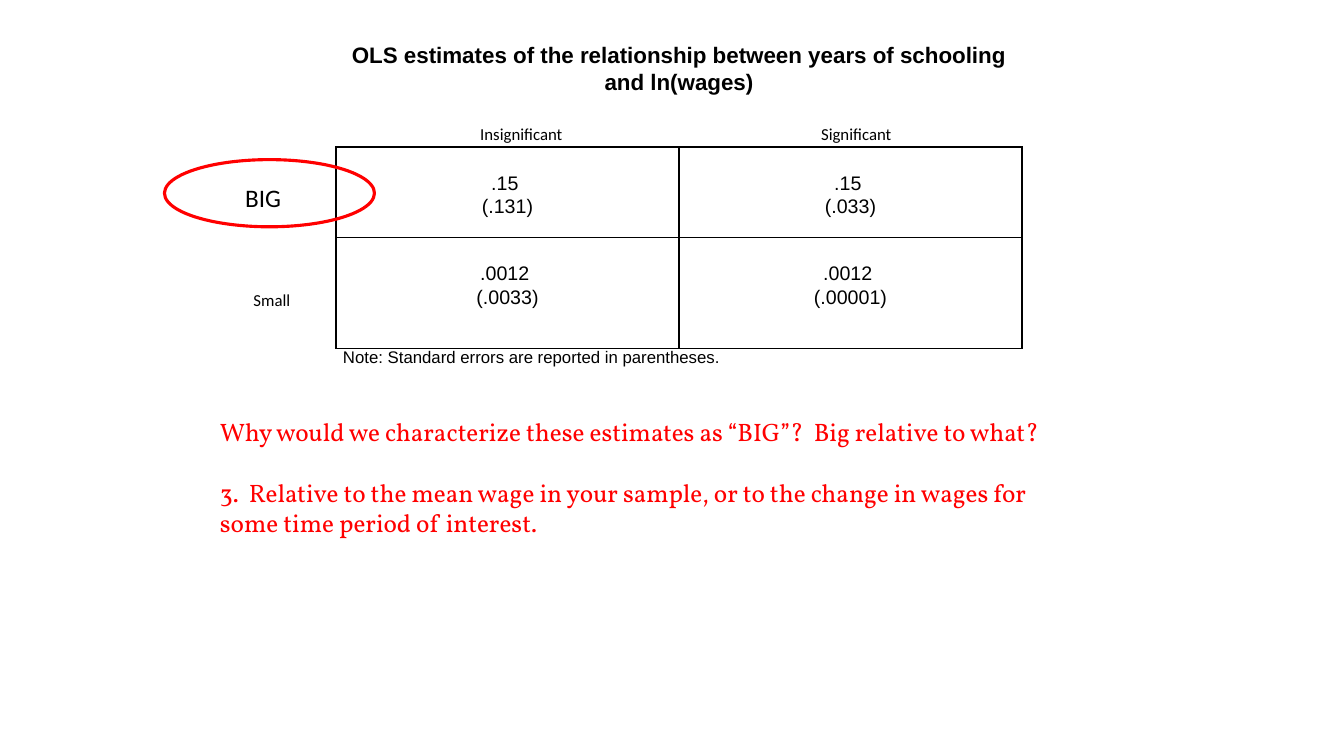
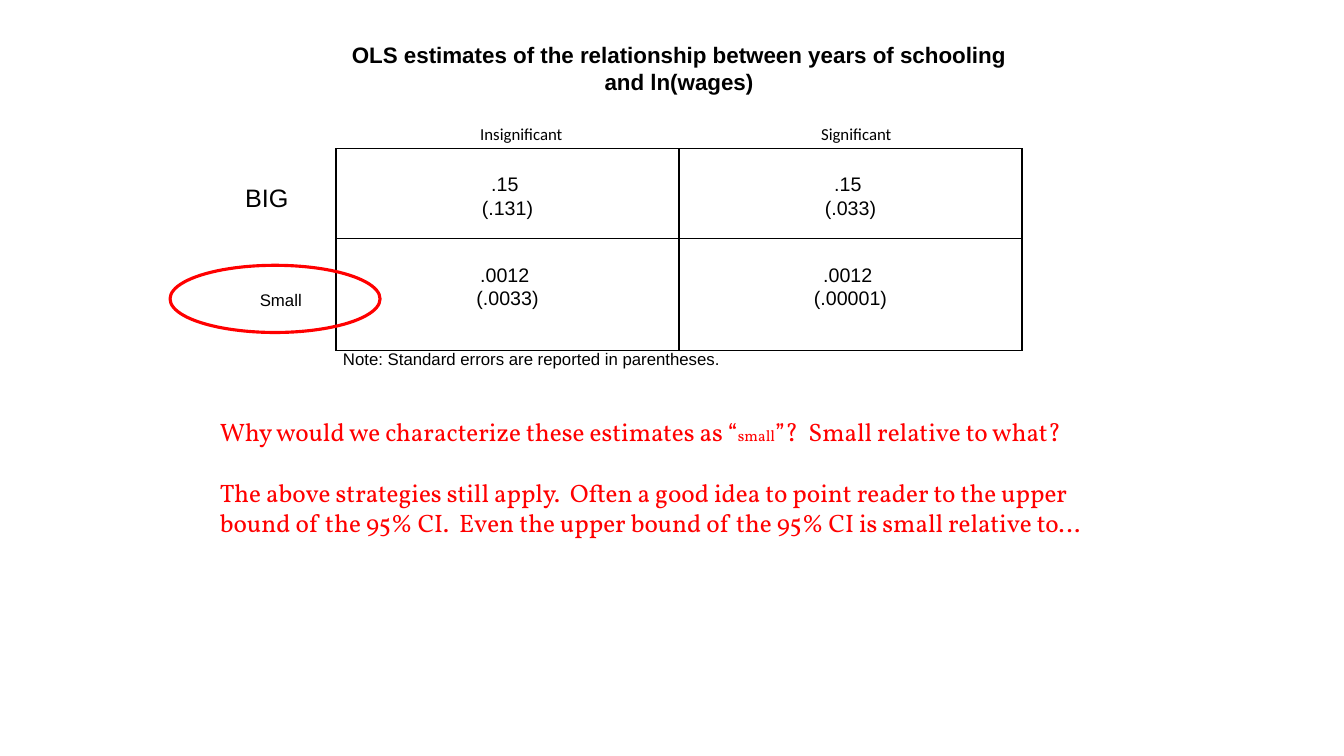
import lxml.etree
import pptx
import pptx.dml.color
import pptx.enum.shapes
import pptx.enum.text
import pptx.oxml.ns
import pptx.util

Pt = pptx.util.Pt
ALIGN = pptx.enum.text.PP_ALIGN

COLORS = {"ink": "000000", "accent": "FF0000"}
LINE_SPACING = 1.07
NO_GRID_STYLE = "{2D5ABB26-0587-4C30-8999-92F81FD0307C}"

TITLE = "OLS estimates of the relationship between years of schooling and ln(wages)"
HEADINGS = ("Insignificant", "Significant")
HEADING_TABS = (98, 341.5)
ESTIMATES = (
    ((".15 ", "(.131)"), (".15 ", "(.033)")),
    ((".0012 ", "(.0033)"), (".0012 ", "(.00001)")),
)
NOTE = "Note: Standard errors are reported in parentheses."

TABLE_BOX = (240, 30, 490)
ROW_HEIGHTS = (75, 64.5, 79.5, 28)
CIRCLE_SIZE = (150, 48)

SLIDES = (
    {
        "label_font": "Calibri",
        "labels": (("BIG", 18, (168, 127, 40, 29)), ("Small", 12, (174, 203.5, 44, 22))),
        "circle": (117.5, 114),
        "comment_box": (150, 294, 621, 138),
        "comment": (
            (("Why would we characterize these estimates as “BIG”?  Big relative to what?", 18),),
            (("3.  Relative to the mean wage in your sample, or to the change in wages for "
              "some time period of interest.", 18),),
        ),
    },
    {
        "label_font": "Arial",
        "labels": (("BIG", 18, (168, 127, 46, 29)), ("Small", 12, (178.5, 203.5, 46, 22))),
        "circle": (121.5, 189.5),
        "comment_box": (150, 294, 638, 181),
        "comment": (
            (("Why would we characterize these estimates as “", 18), ("small", 11),
             ("”?  Small relative to what?", 18)),
            (("The above strategies still apply.  Often a good idea to point reader to the upper "
              "bound of the 95% CI.  Even the upper bound of the 95% CI is small relative to…", 18),),
        ),
    },
)


def rgb(name):
    return pptx.dml.color.RGBColor.from_string(COLORS[name])


def style_span(span, size, font, color="ink", bold=False):
    span.font.size = Pt(size)
    span.font.name = font
    span.font.bold = bold
    span.font.color.rgb = rgb(color)


def add_tabs(para, positions):
    tag = pptx.oxml.ns.qn
    tab_list = lxml.etree.SubElement(para._p.get_or_add_pPr(), tag("a:tabLst"))
    for position in positions:
        lxml.etree.SubElement(tab_list, tag("a:tab"), pos=str(Pt(position)), algn="l")


def write_cell(cell, lines, size, font, align, bold=False, top=0):
    """Write one paragraph for each line, starting top points below the cell's edge."""
    cell.fill.background()
    cell.margin_left = cell.margin_right = Pt(5)
    cell.margin_top, cell.margin_bottom = Pt(top), 0
    frame = cell.text_frame
    frame.text = "\n".join(lines)
    for para in frame.paragraphs:
        para.alignment = align
        para.line_spacing = LINE_SPACING
        for span in para.runs:
            style_span(span, size, font, bold=bold)


def draw_borders(cell):
    """Draw all four sides; the lines must come before the cell's fill."""
    tag = pptx.oxml.ns.qn
    properties = cell._tc.get_or_add_tcPr()
    for index, side in enumerate(("lnL", "lnR", "lnT", "lnB")):
        line = lxml.etree.Element(tag("a:" + side), w=str(Pt(1)))
        fill = lxml.etree.SubElement(line, tag("a:solidFill"))
        lxml.etree.SubElement(fill, tag("a:srgbClr"), val=COLORS["ink"])
        properties.insert(index, line)


def add_estimates_table(page, box):
    left, top, width = box
    frame = page.shapes.add_table(len(ROW_HEIGHTS), len(HEADINGS), Pt(left), Pt(top),
                                  Pt(width), Pt(sum(ROW_HEIGHTS)))
    table = frame.table
    table.first_row = table.horz_banding = False
    table._tbl.tblPr.find(pptx.oxml.ns.qn("a:tableStyleId")).text = NO_GRID_STYLE
    for column in table.columns:
        column.width = Pt(width / len(HEADINGS))
    for row, height in zip(table.rows, ROW_HEIGHTS):
        row.height = Pt(height)

    last_row = len(ROW_HEIGHTS) - 1
    for row_index in (0, last_row):
        table.cell(row_index, 0).merge(table.cell(row_index, len(HEADINGS) - 1))

    title_cell = table.cell(0, 0)
    write_cell(title_cell, [TITLE], 16, "Arial", ALIGN.CENTER, bold=True)
    heading = title_cell.text_frame.add_paragraph()
    heading.text = "".join("\t" + text for text in HEADINGS)
    heading.line_spacing = LINE_SPACING
    heading.space_before = Pt(19.7)
    add_tabs(heading, HEADING_TABS)
    for span in heading.runs:
        style_span(span, 12, "Calibri")

    for row_index, row in enumerate(ESTIMATES, start=1):
        for column_index, lines in enumerate(row):
            cell = table.cell(row_index, column_index)
            write_cell(cell, lines, 14, "Arial", ALIGN.CENTER, top=17.2)
            draw_borders(cell)

    write_cell(table.cell(last_row, 0), [NOTE], 12, "Arial", ALIGN.LEFT)
    table.cell(last_row, 0).text_frame.paragraphs[0].line_spacing = 1.0


def add_row_label(page, text, size, font, box):
    label = page.shapes.add_textbox(*map(Pt, box))
    label.text_frame.word_wrap = False
    label.text_frame.text = text
    style_span(label.text_frame.paragraphs[0].runs[0], size, font)


def add_circle(page, corner):
    circle = page.shapes.add_shape(pptx.enum.shapes.MSO_SHAPE.OVAL,
                                   *map(Pt, corner + CIRCLE_SIZE))
    circle.shadow.inherit = False
    circle.fill.background()
    circle.line.color.rgb = rgb("accent")
    circle.line.width = Pt(2.25)


def add_comment(page, paragraphs, box):
    frame = page.shapes.add_textbox(*map(Pt, box)).text_frame
    frame.word_wrap = True
    for index, pieces in enumerate(paragraphs):
        para = frame.add_paragraph() if index else frame.paragraphs[0]
        if index:
            para.space_before = Pt(21.5)
        for text, size in pieces:
            span = para.add_run()
            span.text = text
            style_span(span, size, "Vollkorn", "accent")


def add_estimates_slide(deck, content):
    page = deck.slides.add_slide(deck.slide_layouts[6])
    add_estimates_table(page, TABLE_BOX)
    for text, size, box in content["labels"]:
        add_row_label(page, text, size, content["label_font"], box)
    add_circle(page, content["circle"])
    add_comment(page, content["comment"], content["comment_box"])


def main():
    deck = pptx.Presentation()
    deck.slide_width, deck.slide_height = Pt(960), Pt(540)
    for content in SLIDES:
        add_estimates_slide(deck, content)
    deck.save("out.pptx")


if __name__ == "__main__":
    main()
